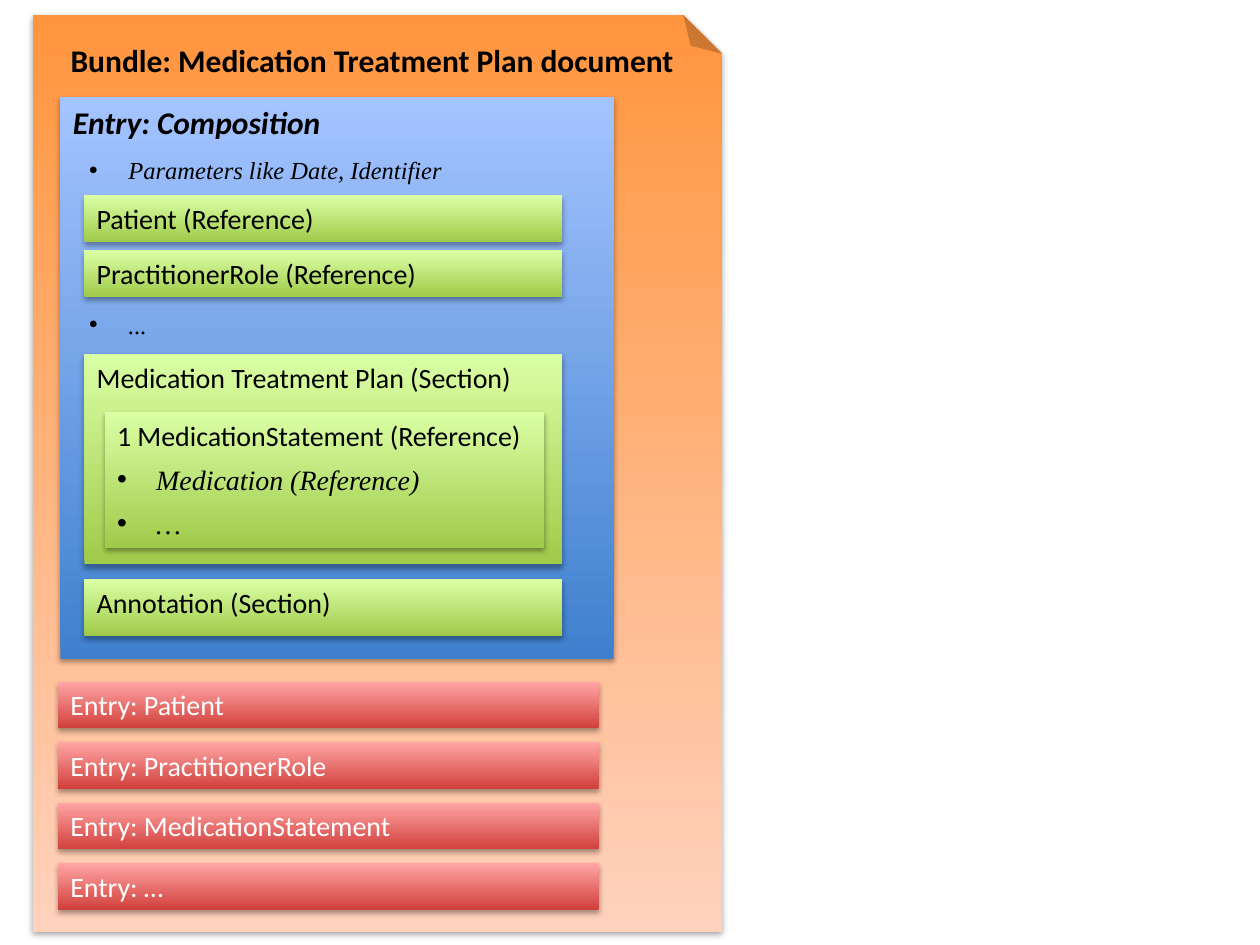
import pptx
import pptx.util
import pptx.dml.color
import pptx.enum.shapes
import pptx.enum.text
import pptx.oxml
import pptx.oxml.ns
from pptx.util import Cm

COLORS = {
    "text": "000000",
    "light text": "FFFFFF",
    "shadow": "000000",
}
# Start and end colour of each gradient, which runs upwards
GRADIENTS = {
    "bundle": ("FF953E", "FFD2BD"),
    "composition": ("3F80CE", "A4C4FF"),
    "content": ("A0CA4A", "DAFFA5"),
    "entry": ("D1403C", "FFA6A5"),
}
RECTANGLE = pptx.enum.shapes.MSO_SHAPE.RECTANGLE
FOLDED_CORNER = pptx.enum.shapes.MSO_SHAPE.FOLDED_CORNER
NAMESPACE = pptx.oxml.ns.nsdecls("a")


def rgb(color):
    return pptx.dml.color.RGBColor.from_string(COLORS[color])


def add_shadow(shape):
    """Give the shape a soft shadow that falls straight down."""
    shape.shadow.inherit = False
    effects = shape._element.spPr.find(pptx.oxml.ns.qn("a:effectLst"))
    effects.append(pptx.oxml.parse_xml(
        f'<a:outerShdw {NAMESPACE} blurRad="40000" dist="23000" '
        'dir="5400000" rotWithShape="0">'
        f'<a:srgbClr val="{COLORS["shadow"]}"><a:alpha val="35000"/></a:srgbClr>'
        '</a:outerShdw>'))


def add_panel(slide, kind, left, top, width, height, preset=RECTANGLE):
    panel = slide.shapes.add_shape(preset, Cm(left), Cm(top), Cm(width), Cm(height))
    panel.fill.gradient()
    panel.fill.gradient_angle = 90
    for stop, color in zip(panel.fill.gradient_stops, GRADIENTS[kind]):
        stop.color.rgb = pptx.dml.color.RGBColor.from_string(color)
    panel.line.fill.background()
    add_shadow(panel)
    return panel


def prepare_frame(shape):
    frame = shape.text_frame
    frame.word_wrap = True
    frame.auto_size = pptx.enum.text.MSO_AUTO_SIZE.NONE
    frame.vertical_anchor = pptx.enum.text.MSO_ANCHOR.TOP
    return frame


def write(paragraph, text, size, color="text", font="Calibri",
          bold=False, italic=False, gap=0):
    paragraph.alignment = pptx.enum.text.PP_ALIGN.LEFT
    paragraph.space_before = paragraph.space_after = pptx.util.Pt(gap)
    run = paragraph.add_run()
    run.text = text
    run.font.name = font
    run.font.size = pptx.util.Pt(size)
    run.font.bold = bold
    run.font.italic = italic
    run.font.color.rgb = rgb(color)


def write_bullet(paragraph, text, size, gap=0):
    write(paragraph, text, size, font="Times New Roman", italic=True, gap=gap)
    properties = paragraph._p.get_or_add_pPr()
    properties.set("marL", str(Cm(0.79)))
    properties.set("indent", str(-Cm(0.79)))
    for bullet in ('buFont {} typeface="Arial"', 'buChar {} char="•"'):
        properties.append(pptx.oxml.parse_xml(f'<a:{bullet.format(NAMESPACE)}/>'))


def add_labelled_panel(slide, kind, label, left, top, width, height,
                       color="text", bullets=()):
    frame = prepare_frame(add_panel(slide, kind, left, top, width, height))
    write(frame.paragraphs[0], label, 16, color, gap=3)
    for bullet in bullets:
        write_bullet(frame.add_paragraph(), bullet, 16, gap=3)


def add_note(slide, text, top):
    note = slide.shapes.add_textbox(Cm(1.55), Cm(top), Cm(9.22), Cm(1.45))
    write_bullet(prepare_frame(note).paragraphs[0], text, 14)


def add_bundle(slide):
    """Add the page whose small folded corner is flipped to the top."""
    properties = add_panel(slide, "bundle", 0.66, 0.3, 13.89, 18.49,
                           FOLDED_CORNER)._element.spPr
    properties.xfrm.set("flipV", "1")
    guides = properties.find(".//" + pptx.oxml.ns.qn("a:avLst"))
    guides.append(pptx.oxml.parse_xml(
        f'<a:gd {NAMESPACE} name="adj" fmla="val 5600"/>'))


def place_title(slide, text):
    title = slide.shapes.title
    title.left, title.top = Cm(1.17), Cm(0.69)
    title.width, title.height = Cm(12.78), Cm(1.02)
    write(prepare_frame(title).paragraphs[0], text, 18, bold=True)
    # Bring the title in front of the bundle page
    slide.shapes._spTree.append(title._element)


def add_composition(slide):
    composition = add_panel(slide, "composition", 1.22, 1.96, 11.15, 11.33)
    write(prepare_frame(composition).paragraphs[0], "Entry: Composition", 18,
          bold=True, italic=True)
    add_note(slide, "Parameters like Date, Identifier", 3)
    add_note(slide, "...", 6.12)
    for label, top, height in (
        ("Patient (Reference)", 3.94, 0.94),
        ("PractitionerRole (Reference)", 5.05, 0.94),
        ("Medication Treatment Plan (Section)", 7.14, 4.24),
        ("Annotation (Section)", 11.68, 1.14),
    ):
        add_labelled_panel(slide, "content", label, 1.7, top, 9.63, height)
    add_labelled_panel(slide, "content", "1 MedicationStatement (Reference)",
                       2.11, 8.31, 8.86, 2.74,
                       bullets=("Medication (Reference)", "…"))


def add_entries(slide):
    entries = ("Patient", "PractitionerRole", "MedicationStatement", "…")
    for row, entry in enumerate(entries):
        add_labelled_panel(slide, "entry", f"Entry: {entry}",
                           1.17, 13.74 + 1.22 * row, 10.9, 0.94, "light text")


def main():
    presentation = pptx.Presentation()
    presentation.slide_width, presentation.slide_height = Cm(25.4), Cm(19.05)
    slide = presentation.slides.add_slide(presentation.slide_layouts[5])
    add_bundle(slide)
    place_title(slide, "Bundle: Medication Treatment Plan document")
    add_composition(slide)
    add_entries(slide)
    presentation.save("out.pptx")


if __name__ == "__main__":
    main()
